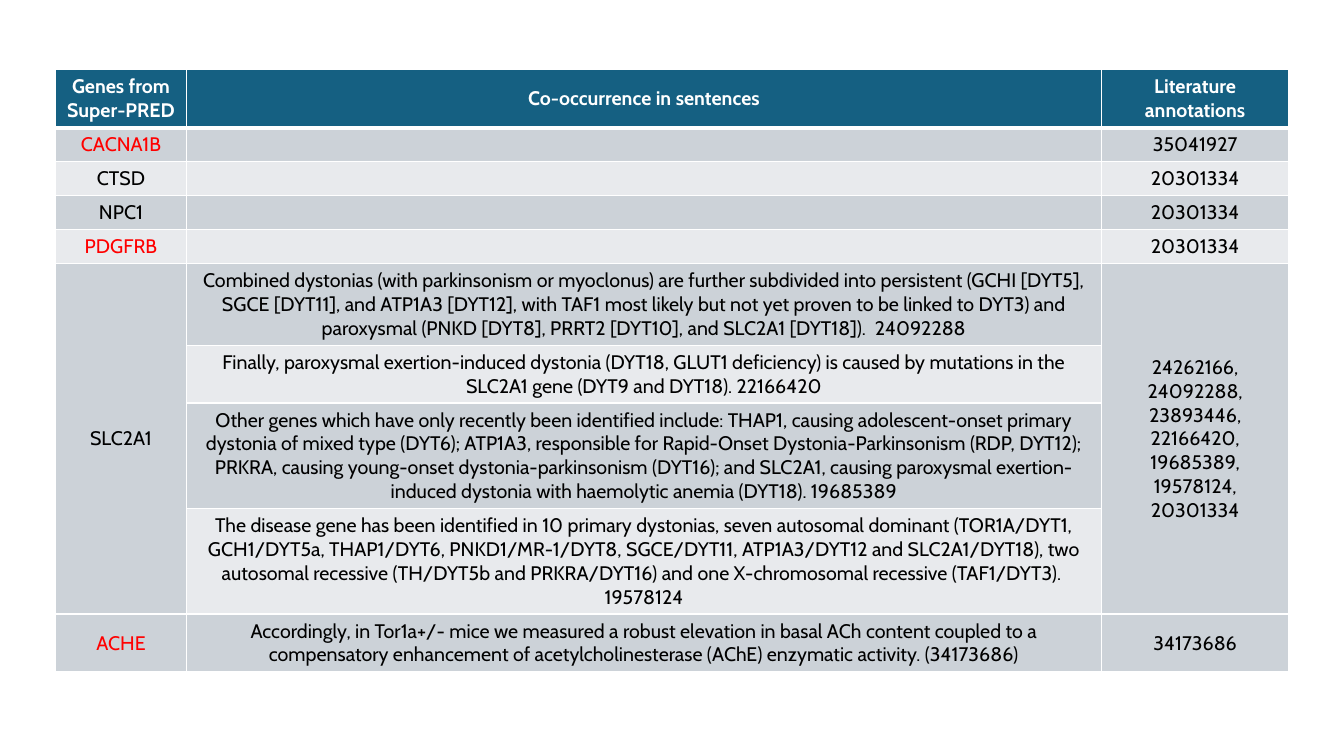
"""Build a slide with a table of dystonia genes and their literature evidence."""
from dataclasses import dataclass

from lxml.etree import SubElement
from pptx import Presentation
from pptx.dml.color import RGBColor
from pptx.enum.text import MSO_ANCHOR, PP_ALIGN
from pptx.oxml.ns import qn
from pptx.util import Cm, Pt


@dataclass(frozen=True)
class Theme:
    font: str = "Cabin"
    size: int = 14
    header: str = "156082"
    bands: tuple = ("E8EAED", "CCD2D8")
    white: str = "FFFFFF"
    black: str = "000000"
    highlight: str = "FF0000"
    thin: float = 1
    thick: float = 3


theme = Theme()
highlighted_genes = {"CACNA1B", "PDGFRB", "ACHE"}
column_widths = (3.3, 23.06, 4.72)
line_counts = (2, 1, 1, 1, 1, 3, 2, 4, 4, 2)
line_height, row_padding = 0.6, 0.25
merged_rows = (5, 8)

rows = [
    ("Genes from Super-PRED", "Co-occurrence in sentences", "Literature annotations"),
    ("CACNA1B", "", "35041927"),
    ("CTSD", "", "20301334"),
    ("NPC1", "", "20301334"),
    ("PDGFRB", "", "20301334"),
    (
        "SLC2A1",
        "Combined dystonias (with parkinsonism or myoclonus) are further subdivided into "
        "persistent (GCHI [DYT5], SGCE [DYT11], and ATP1A3 [DYT12], with TAF1 most likely "
        "but not yet proven to be linked to DYT3) and paroxysmal (PNKD [DYT8], "
        "PRRT2 [DYT10], and SLC2A1 [DYT18]).  24092288",
        "24262166, 24092288, 23893446, 22166420, 19685389, 19578124, 20301334",
    ),
    (
        "",
        "Finally, paroxysmal exertion-induced dystonia (DYT18, GLUT1 deficiency) is caused "
        "by mutations in the SLC2A1 gene (DYT9 and DYT18). 22166420",
        "",
    ),
    (
        "",
        "Other genes which have only recently been identified include: THAP1, causing "
        "adolescent-onset primary dystonia of mixed type (DYT6); ATP1A3, responsible for "
        "Rapid-Onset Dystonia-Parkinsonism (RDP, DYT12); PRKRA, causing young-onset "
        "dystonia-parkinsonism (DYT16); and SLC2A1, causing paroxysmal exertion-induced "
        "dystonia with haemolytic anemia (DYT18). 19685389",
        "",
    ),
    (
        "",
        "The disease gene has been identified in 10 primary dystonias, seven autosomal "
        "dominant (TOR1A/DYT1, GCH1/DYT5a, THAP1/DYT6, PNKD1/MR-1/DYT8, SGCE/DYT11, "
        "ATP1A3/DYT12 and SLC2A1/DYT18), two autosomal recessive (TH/DYT5b and "
        "PRKRA/DYT16) and one X-chromosomal recessive (TAF1/DYT3).  19578124",
        "",
    ),
    (
        "ACHE",
        "Accordingly, in Tor1a+/- mice we measured a robust elevation in basal ACh content "
        "coupled to a compensatory enhancement of acetylcholinesterase (AChE) enzymatic "
        "activity. (34173686)",
        "34173686",
    ),
]


def add_border(cell, side, width):
    """Draw one white edge of a cell."""
    line = SubElement(cell._tc.get_or_add_tcPr(), qn(f"a:{side}"), w=str(Pt(width)))
    fill = SubElement(line, qn("a:solidFill"))
    SubElement(fill, qn("a:srgbClr"), val=theme.white)


def fill_cell(cell, text, fill, color, bold):
    """Write centred text on a solid cell."""
    cell.fill.solid()
    cell.fill.fore_color.rgb = RGBColor.from_string(fill)
    cell.vertical_anchor = MSO_ANCHOR.MIDDLE
    para = cell.text_frame.paragraphs[0]
    if text:
        para.text = text
    else:
        SubElement(para._p, qn("a:endParaRPr"), sz=str(theme.size * 100))
    para.alignment = PP_ALIGN.CENTER
    para.font.name = theme.font
    para.font.size = Pt(theme.size)
    para.font.bold = bold
    para.font.color.rgb = RGBColor.from_string(color)


deck = Presentation()
deck.slide_width, deck.slide_height = Cm(33.87), Cm(19.05)
page = deck.slides.add_slide(deck.slide_layouts[6])

row_heights = [row_padding + line_height * count for count in line_counts]
gene_table = page.shapes.add_table(
    len(rows), len(column_widths), Cm(1.4), Cm(1.76),
    Cm(sum(column_widths)), Cm(sum(row_heights)),
).table
for column, width in zip(gene_table.columns, column_widths):
    column.width = Cm(width)
for row, height in zip(gene_table.rows, row_heights):
    row.height = Cm(height)

for row_index, texts in enumerate(rows):
    is_header = row_index == 0
    fill = theme.header if is_header else theme.bands[row_index % 2]
    for column_index, text in enumerate(texts):
        cell = gene_table.cell(row_index, column_index)
        add_border(cell, "lnL", theme.thin)
        add_border(cell, "lnR", theme.thin)
        add_border(cell, "lnT", theme.thick if row_index == 1 else theme.thin)
        add_border(cell, "lnB", theme.thick if is_header else theme.thin)
        color = theme.white if is_header else theme.black
        if text in highlighted_genes:
            color = theme.highlight
        fill_cell(cell, text, fill, color, is_header)

first_row, last_row = merged_rows
for column_index in (0, 2):
    gene_table.cell(first_row, column_index).merge(gene_table.cell(last_row, column_index))

deck.save("out.pptx")
